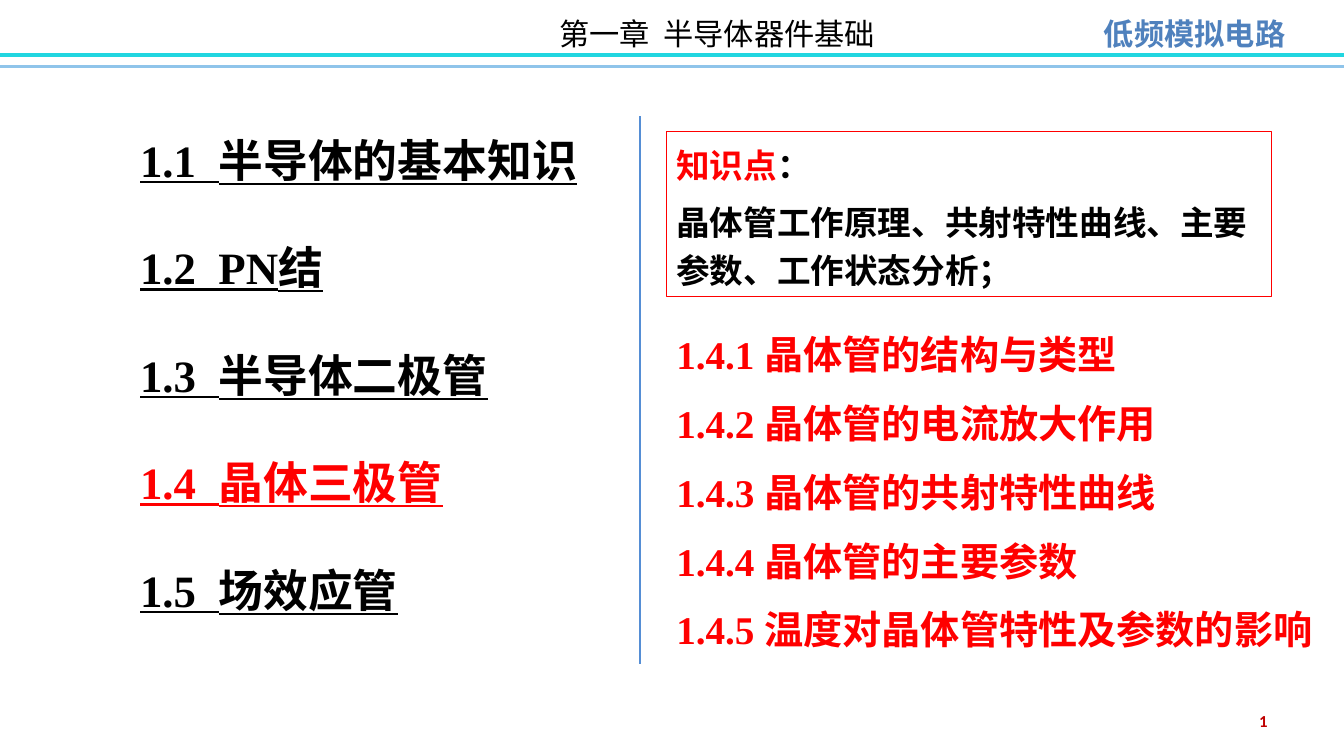
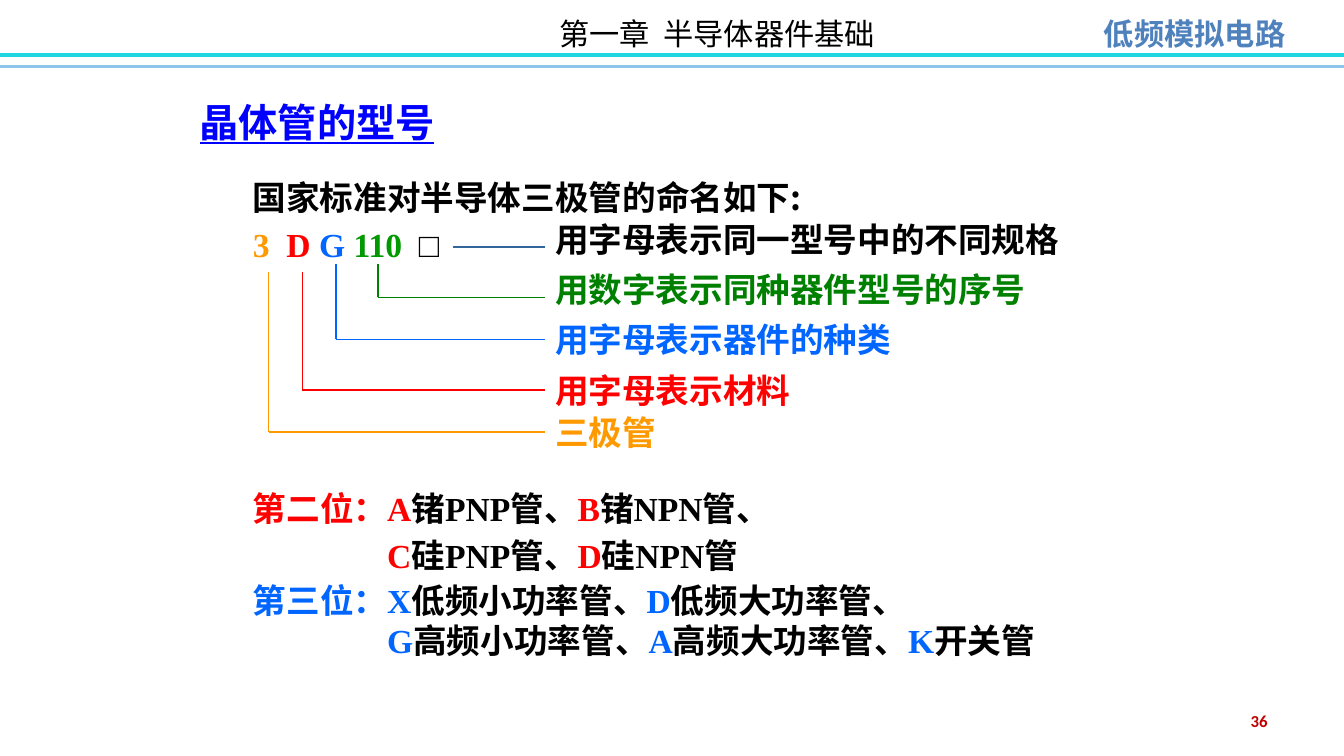
from lxml import etree
from pptx import Presentation
from pptx.dml.color import RGBColor
from pptx.enum.shapes import MSO_CONNECTOR, MSO_SHAPE
from pptx.enum.text import MSO_ANCHOR, PP_ALIGN
from pptx.oxml.ns import qn
from pptx.util import Pt

LINE = MSO_CONNECTOR.STRAIGHT
RECT = MSO_SHAPE.RECTANGLE
TOP, MID = MSO_ANCHOR.TOP, MSO_ANCHOR.MIDDLE
LEFT, MIDDLE, RIGHT = PP_ALIGN.LEFT, PP_ALIGN.CENTER, PP_ALIGN.RIGHT

WIDTH, HEIGHT = 960, 540
ROMAN, SANS, BODY, HAN = "Times New Roman", "Arial", "Calibri", "Noto Sans CJK SC"
HEX = {
    "black": "000000", "red": "FF0000", "blue": "0066FF", "green": "008000",
    "lime": "009900", "orange": "FF9900", "link": "0000FF", "steel": "336699",
    "brand": "4F81BD", "page": "C00000", "rule": "558ED5",
    "band": "21D6E0", "thin": "8FC4EA",
}


def tint(name):
    return RGBColor.from_string(HEX[name])


def rule(slide, start, end, color, width):
    line = slide.shapes.add_connector(LINE, *map(Pt, (*start, *end)))
    line.line.color.rgb = tint(color)
    line.line.width = Pt(width)
    etree.SubElement(line._element.spPr, qn("a:effectLst"))


def write(para, runs, size, face=ROMAN, color="black", bold=True, under=None):
    font = para.font
    font.size, font.name, font.bold = Pt(size), face, bold
    font.underline = under
    font.color.rgb = tint(color)
    for text, shade, *other in runs:
        run = para.add_run()
        run.text = text
        if shade and shade != color:
            run.font.color.rgb = tint(shade)
        if other:
            run.font.name = other[0]


def setup(shape, anchor=TOP):
    frame = shape.text_frame
    frame.word_wrap = True
    frame.vertical_anchor = anchor
    return frame


def panel(slide, box, anchor=TOP):
    return setup(slide.shapes.add_textbox(*map(Pt, box)), anchor)


def label(slide, box, text, size, face=ROMAN, color="black", bold=True,
          anchor=TOP, align=LEFT, under=None):
    para = panel(slide, box, anchor).paragraphs[0]
    para.alignment = align
    write(para, [(text, None)], size, face, color, bold, under)


def lines(frame, count):
    return [frame.paragraphs[0]] + [frame.add_paragraph() for _ in range(count - 1)]


def base(deck, page):
    slide = deck.slides.add_slide(deck.slide_layouts[6])
    rule(slide, (0, 47.5), (WIDTH, 47.5), "thin", 1.5)
    rule(slide, (0, 39.5), (WIDTH, 39.5), "band", 3)
    label(slide, (306, 7.2, 412.5, 33), "第一章  半导体器件基础", 21.6, BODY,
          bold=False, align=MIDDLE)
    label(slide, (759.5, 7.2, 187.5, 33), "低频模拟电路", 21.6, BODY,
          "brand", align=MIDDLE)
    label(slide, (688.5, 500.5, 224, 28.75), page, 12, BODY, "page",
          anchor=MID, align=RIGHT)
    return slide


def menu(slide, box, items, active):
    frame = panel(slide, box)
    for para, (number, name) in zip(lines(frame, len(items)), items):
        color = "red" if number.startswith(active) else "black"
        para.line_spacing = 2.0
        write(para, [(number, None), (name, None, SANS)], 32, color=color, under=True)


def focus(slide, box, rows):
    card = slide.shapes.add_shape(RECT, *map(Pt, box))
    card.shadow.inherit = False
    card.fill.background()
    card.line.color.rgb = tint("red")
    card.line.width = Pt(0.75)
    frame = setup(card)
    for index, (para, runs) in enumerate(zip(lines(frame, len(rows)), rows)):
        para.alignment = LEFT
        para.line_spacing = 1.2
        if index:
            para.space_before = Pt(6)
        write(para, runs, 24)


def topics(slide, box, names):
    x, y, w, h = box
    step = h / len(names)
    for index, name in enumerate(names):
        label(slide, (x, y + index * step, w, 41), f"1.4.{index + 1} {name}",
              28, color="red", anchor=MID)


def code(slide, box, intro, parts):
    x, y, w, h = box
    first, second = lines(panel(slide, (x, y, w, 80)), 2)
    write(first, [(intro, None)], 24, HAN)
    second.space_before = Pt(4.8)
    write(second, parts, 24)


def leads(slide, box, rows):
    x, y, w, h = box
    edge = x + 216
    for text, color, stroke, stem, start, bend, top in rows:
        level = y + bend
        if start is not None:
            rule(slide, (x + stem, y + start), (x + stem, level), stroke, 1)
        rule(slide, (x + stem, level), (edge, level), stroke, 1)
        label(slide, (edge, y + top, w - 216, 36), text, 24, HAN, color)


def digits(slide, box, rows, gap):
    first, second = lines(panel(slide, box), 2)
    write(first, rows[0], 24)
    second._p.get_or_add_pPr().set("marL", str(Pt(96)))
    second.space_before = Pt(gap)
    write(second, rows[1], 24)


def outline(deck):
    slide = base(deck, "1")
    menu(slide, (93, 52.5, 373.5, 395), [
        ("1.1  ", "半导体的基本知识"),
        ("1.2  PN", "结"),
        ("1.3  ", "半导体二极管"),
        ("1.4  ", "晶体三极管"),
        ("1.5  ", "场效应管"),
    ], "1.4")
    rule(slide, (457.2, 83), (457.2, 474), "rule", 1.5)
    focus(slide, (476, 94, 432.5, 118), [
        [("知识点", "red"), ("：", None)],
        [("晶体管工作原理、共射特性曲线、主要参数、工作状态分析；", None)],
    ])
    topics(slide, (476, 232.5, 481.5, 245.5), [
        "晶体管的结构与类型",
        "晶体管的电流放大作用",
        "晶体管的共射特性曲线",
        "晶体管的主要参数",
        "温度对晶体管特性及参数的影响",
    ])


def naming(deck):
    slide = base(deck, "36")
    label(slide, (135.5, 66.5, 216, 41), "晶体管的型号", 28, HAN, "link",
          anchor=MID, under=True)
    code(slide, (173.5, 122.5, 618, 222), "国家标准对半导体三极管的命名如下:", [
        ("3  ", "orange"), ("D ", "red"), ("G ", "blue"),
        ("110  ", "lime"), ("□", None),
    ])
    leads(slide, (173.5, 122.5, 618, 222), [
        ("用字母表示同一型号中的不同规格", "black", "steel", 150, None, 54, 30),
        ("用数字表示同种器件型号的序号", "green", "green", 96.5, 66, 90, 66),
        ("用字母表示器件的种类", "blue", "blue", 66.5, 66, 120, 102),
        ("用字母表示材料", "red", "red", 42.5, 72, 156, 138),
        ("三极管", "orange", "orange", 18.5, 72, 186, 168.5),
    ])
    digits(slide, (173.5, 345, 624, 70), [
        [("第二位：A", "red"), ("锗PNP管、", None), ("B", "red"), ("锗NPN管、", None)],
        [("C", "red"), ("硅PNP管、", None), ("D", "red"), ("硅NPN管", None)],
    ], 4.5)
    digits(slide, (173.5, 410.5, 630, 65.5), [
        [("第三位：X", "blue"), ("低频小功率管、", None),
         ("D", "blue"), ("低频大功率管、", None)],
        [("G", "blue"), ("高频小功率管、", None), ("A", "blue"),
         ("高频大功率管、", None), ("K", "blue"), ("开关管", None)],
    ], 0)


def main():
    deck = Presentation()
    deck.slide_width, deck.slide_height = Pt(WIDTH), Pt(HEIGHT)
    outline(deck)
    naming(deck)
    deck.save("out.pptx")


if __name__ == "__main__":
    main()
